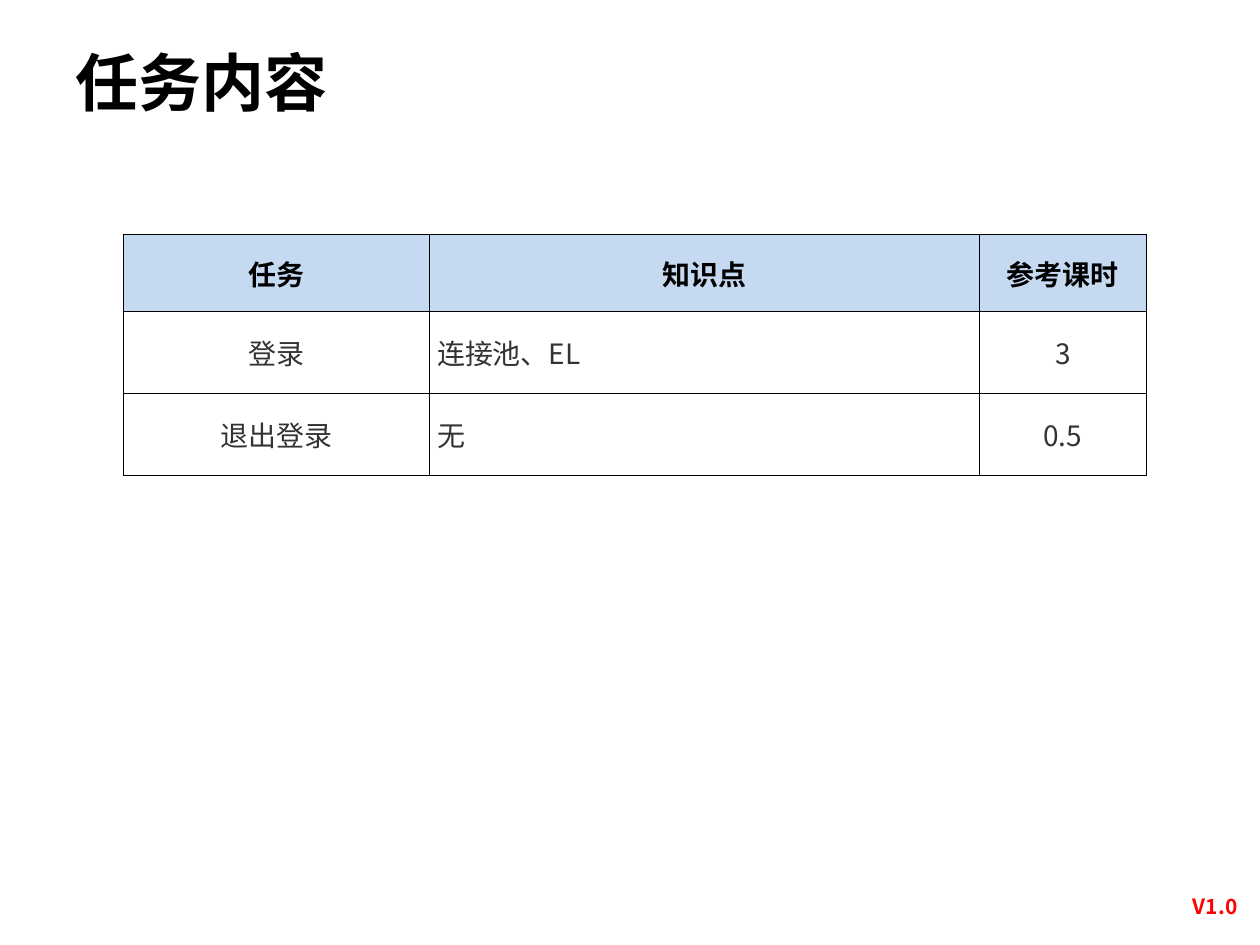
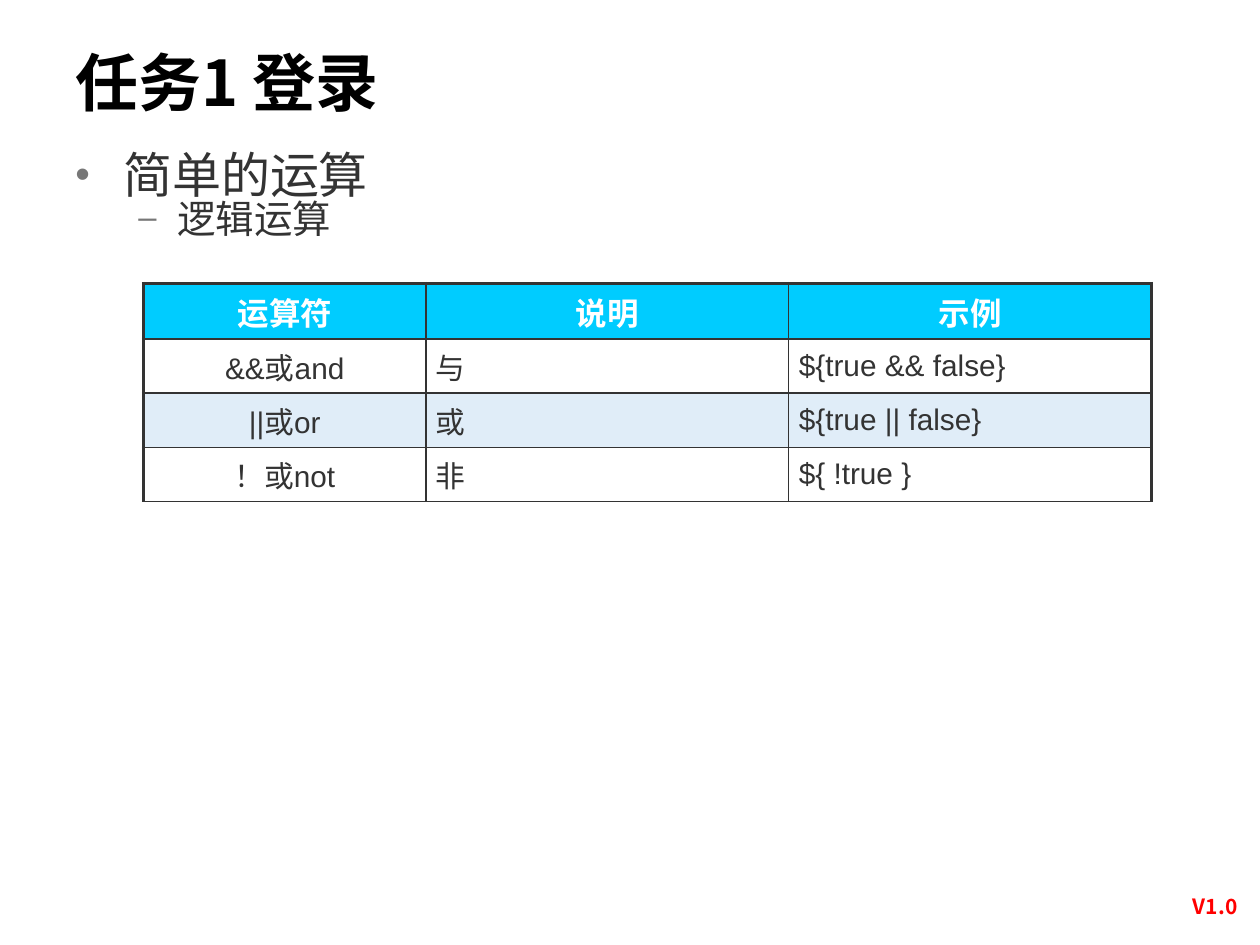
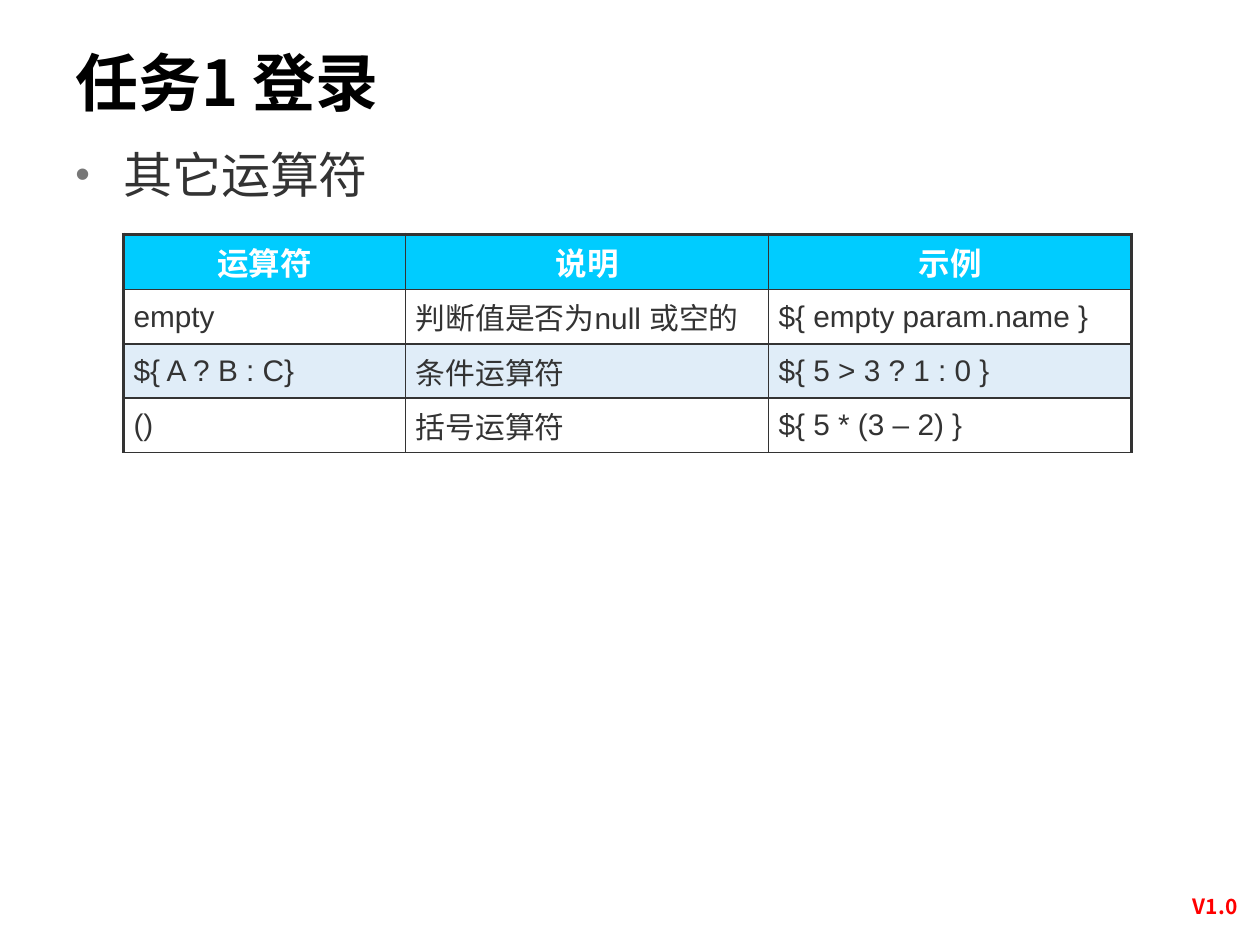
from lxml import etree
from pptx import Presentation
from pptx.dml.color import RGBColor
from pptx.enum import text
from pptx.oxml import ns
from pptx.util import Inches, Pt

SANS, ARIAL = "Noto Sans CJK SC", "Arial"
BLACK, WHITE, RED = "000000", "FFFFFF", "FF0000"
INK, BULLET_GRAY = "333333", "777777"
PALE_BLUE, CYAN, BAND_BLUE = "C5D9F1", "00CCFF", "E0EDF8"
LEFT, CENTER = text.PP_ALIGN.LEFT, text.PP_ALIGN.CENTER
THIN, THICK = 1, 2.25
OPERATOR_HEADER = ["运算符", "说明", "示例"]


def color(hex_code):
    return RGBColor.from_string(hex_code)


def add_xml(parent, tag, **attributes):
    return etree.SubElement(parent, ns.qn(tag), attributes)


def write(paragraph, content, size=16, font=SANS, ink=INK, bold=False, align=LEFT):
    """Put formatted text into a paragraph, with CJK glyphs always in the sans font."""
    paragraph.alignment = align
    run = paragraph.add_run()
    run.text = content
    run.font.size = Pt(size)
    run.font.bold = bold
    run.font.color.rgb = color(ink)
    run.font.name = font
    add_xml(run._r.get_or_add_rPr(), "a:ea", typeface=SANS)


def add_text_frame(slide, left, top, width, height, anchor=text.MSO_ANCHOR.TOP):
    box = slide.shapes.add_textbox(
        Inches(left), Inches(top), Inches(width), Inches(height))
    box.text_frame.word_wrap = True
    box.text_frame.vertical_anchor = anchor
    return box.text_frame


def add_titled_slide(presentation, title):
    """Add a blank slide with the shared title and version mark."""
    slide = presentation.slides.add_slide(presentation.slide_layouts[6])
    version = add_text_frame(slide, 9.25, 7.04, 0.79, 0.3)
    write(version.paragraphs[0], "V1.0", size=12, ink=RED, bold=True, align=CENTER)
    heading = add_text_frame(slide, 0.5, 0.26, 7.97, 0.77, text.MSO_ANCHOR.MIDDLE)
    write(heading.paragraphs[0], title, size=36, ink=BLACK, bold=True)
    return slide


def set_bullet(paragraph, character, indent, hanging):
    properties = paragraph._p.get_or_add_pPr()
    properties.set("marL", str(Inches(indent)))
    properties.set("indent", str(-Inches(hanging)))
    add_xml(add_xml(properties, "a:buClr"), "a:srgbClr", val=BULLET_GRAY)
    add_xml(properties, "a:buSzPct", val="85000")
    add_xml(properties, "a:buFont", typeface=ARIAL)
    add_xml(properties, "a:buChar", char=character)


def add_outline(slide, topic, subtopic=None):
    frame = add_text_frame(slide, 0.5, 1.1, 8.91, 5.43)
    write(frame.paragraphs[0], topic, size=28)
    set_bullet(frame.paragraphs[0], "•", 0.38, 0.38)
    if subtopic:
        paragraph = frame.add_paragraph()
        paragraph.level = 1
        paragraph.line_spacing = 0.8
        write(paragraph, subtopic, size=22)
        set_bullet(paragraph, "–", 0.81, 0.31)


def set_borders(cell, ink, left, right, top, bottom):
    properties = cell._tc.get_or_add_tcPr()
    sides = {"a:lnL": left, "a:lnR": right, "a:lnT": top, "a:lnB": bottom}
    for position, (tag, points) in enumerate(sides.items()):
        line = add_xml(properties, tag, w=str(Pt(points)))
        add_xml(add_xml(line, "a:solidFill"), "a:srgbClr", val=ink)
        properties.insert(position, line)


def set_margins(cell, left, right, top, bottom):
    cell.margin_left, cell.margin_right = Inches(left), Inches(right)
    cell.margin_top, cell.margin_bottom = Inches(top), Inches(bottom)


def add_grid(slide, left, top, widths, heights, rows):
    """Add a table and yield row index, column index, cell and text of each cell."""
    table = slide.shapes.add_table(
        len(rows), len(widths), Inches(left), Inches(top),
        Inches(sum(widths)), Inches(sum(heights))).table
    for column, width in zip(table.columns, widths):
        column.width = Inches(width)
    for row, height in zip(table.rows, heights):
        row.height = Inches(height)
    for r, contents in enumerate(rows):
        for c, content in enumerate(contents):
            cell = table.cell(r, c)
            cell.vertical_anchor = text.MSO_ANCHOR.MIDDLE
            yield r, c, cell, content


def fill_cell(cell, hex_code):
    cell.fill.solid()
    cell.fill.fore_color.rgb = color(hex_code)


def add_task_table(slide, rows):
    widths, heights = [2.43, 4.36, 1.33], [0.61, 0.65, 0.65]
    for r, c, cell, content in add_grid(slide, 0.98, 1.86, widths, heights, rows):
        header = r == 0
        knowledge = c == 1 and not header
        set_margins(cell, 0.06 if knowledge else 0.01, 0.01, 0.01, 0)
        fill_cell(cell, PALE_BLUE if header else WHITE)
        set_borders(cell, BLACK, 0.5, 0.5, 0.5, 0.5)
        write(cell.text_frame.paragraphs[0], content, bold=header,
              ink=BLACK if header else INK, align=LEFT if knowledge else CENTER)


def add_operator_table(slide, left, top, rows, operator_align=LEFT):
    widths, heights = [2.24, 2.88, 2.88], [0.44] + [0.43] * len(rows)
    grid = add_grid(slide, left, top, widths, heights, [OPERATOR_HEADER] + rows)
    for r, c, cell, content in grid:
        set_margins(cell, 0.08, 0.08, 0.04, 0.04)
        set_borders(cell, INK, left=THICK if c == 0 else THIN,
                    right=THICK if c == len(widths) - 1 else THIN,
                    top=THICK if r == 0 else THIN, bottom=THIN)
        paragraph = cell.text_frame.paragraphs[0]
        if r == 0:
            fill_cell(cell, CYAN)
            write(paragraph, content, size=18, font=ARIAL, ink=WHITE, bold=True,
                  align=CENTER)
            continue
        if r % 2 == 0:
            fill_cell(cell, BAND_BLUE)
        else:
            cell.fill.background()
        write(paragraph, content, size=17, font=ARIAL,
              align=operator_align if c == 0 else LEFT)


def main():
    presentation = Presentation()
    presentation.slide_width, presentation.slide_height = Inches(10), Inches(7.5)

    slide = add_titled_slide(presentation, "任务内容")
    add_task_table(slide, [
        ["任务", "知识点", "参考课时"],
        ["登录", "连接池、EL", "3"],
        ["退出登录", "无", "0.5"],
    ])

    slide = add_titled_slide(presentation, "任务1 登录")
    add_outline(slide, "简单的运算", "逻辑运算")
    add_operator_table(slide, 1.14, 2.25, [
        ["&&或and", "与", "${true && false}"],
        ["||或or", "或", "${true || false}"],
        ["！或not", "非", "${ !true }"],
    ], operator_align=CENTER)

    slide = add_titled_slide(presentation, "任务1 登录")
    add_outline(slide, "其它运算符")
    add_operator_table(slide, 0.98, 1.86, [
        ["empty", "判断值是否为null 或空的", "${ empty param.name }"],
        ["${ A ? B : C}", "条件运算符", "${ 5 > 3 ? 1 : 0 }"],
        ["()", "括号运算符", "${ 5 * (3 – 2) }"],
    ])

    presentation.save("out.pptx")


if __name__ == "__main__":
    main()
